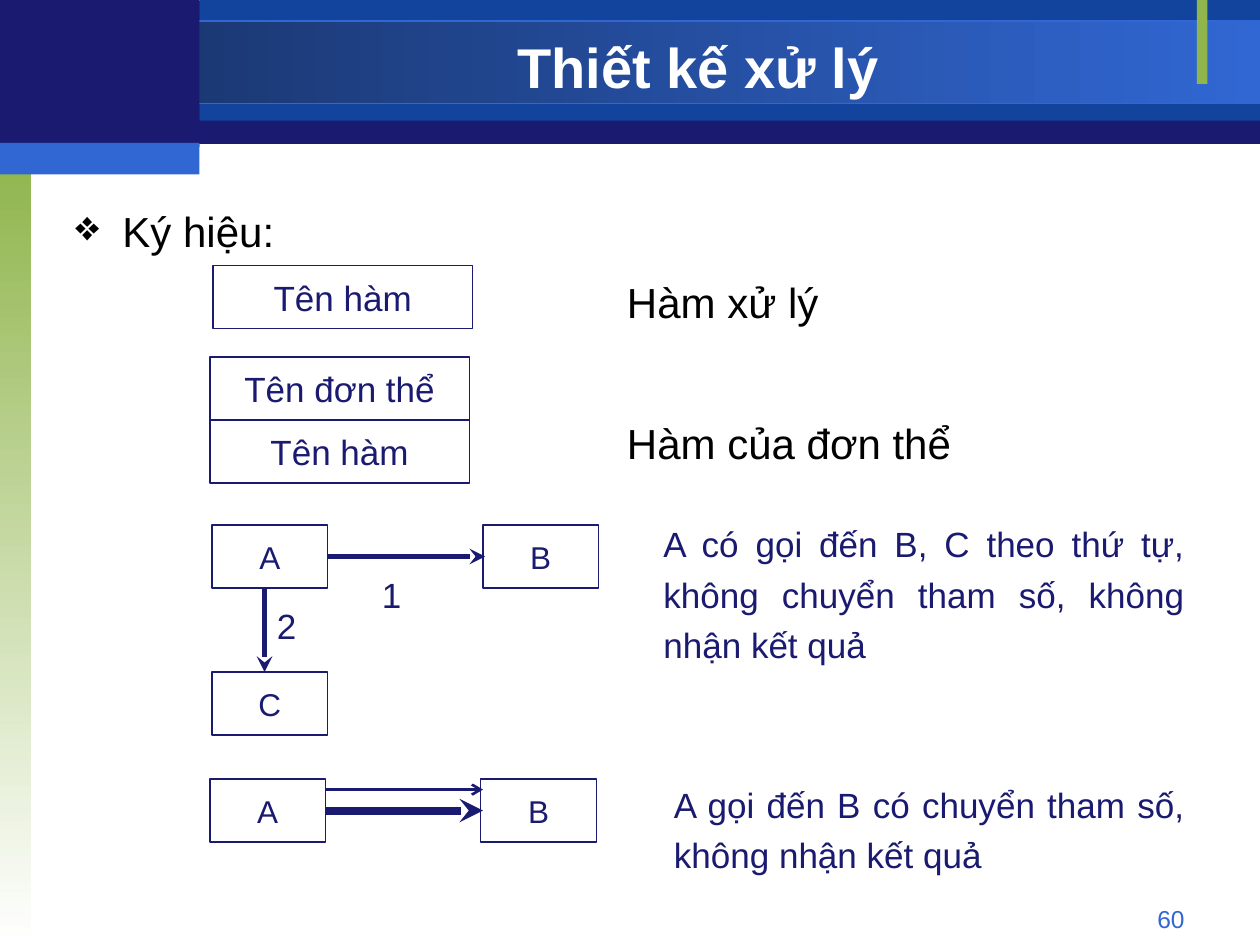
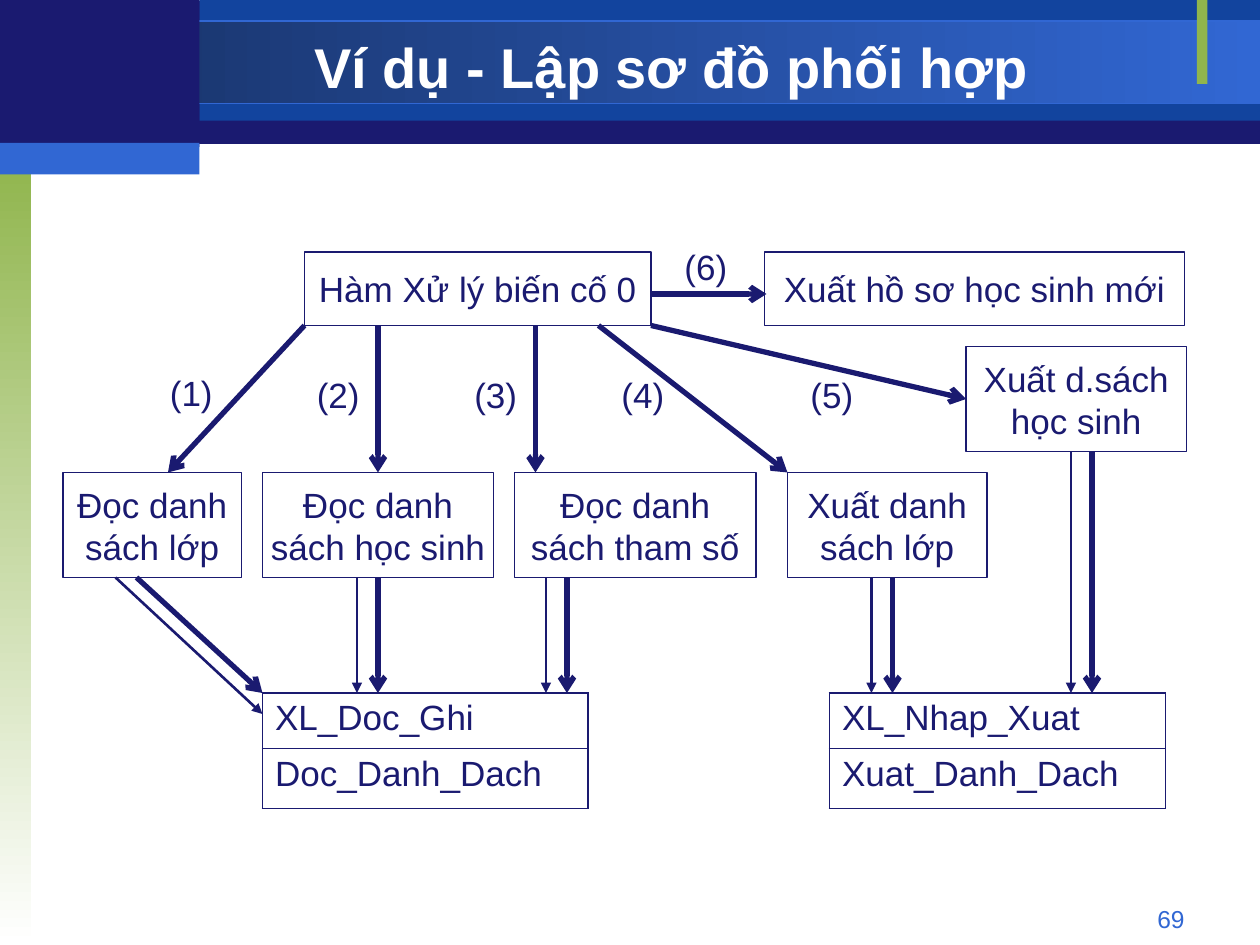
from lxml import etree
from pptx import Presentation
from pptx.dml.color import RGBColor
from pptx.enum.shapes import MSO_CONNECTOR as Connector, MSO_SHAPE as Shape
from pptx.enum.text import MSO_ANCHOR as Anchor, PP_ALIGN as Align
from pptx.oxml.ns import qn
from pptx.util import Cm, Pt

NAVY = RGBColor(0x1A, 0x1A, 0x70)
ROYAL = RGBColor(0x12, 0x44, 0x9E)
DEEP = RGBColor(0x17, 0x30, 0x62)
BLUE = RGBColor(0x31, 0x67, 0xD3)
GREEN = RGBColor(0x90, 0xB5, 0x4D)
WHITE = RGBColor(0xFF, 0xFF, 0xFF)
BLACK = RGBColor(0, 0, 0)
FONT = "Arial"

# All places are (left, top, width, height) or (x, y) in grid units;
# the page is 120 units wide and 90 high.
UNIT_CM = 25.4 / 120

# place, fill or (from, to) gradient, gradient angle, outline
BANDS = [
    ((0, 0.1, 120, 13.6), NAVY, None, None),
    ((19, 0, 101, 11.5), ROYAL, None, None),
    ((0, 2, 120, 7.9), (DEEP, BLUE), 0, BLUE),
    ((0, 15, 3, 75), (GREEN, WHITE), 270, None),
    ((114, 0, 1, 8), GREEN, None, None),
    ((0, 0, 19, 14), NAVY, None, None),
    ((0, 13.6, 19, 3), BLUE, None, None),
]

# Slide 1: text, left indent (cm), hanging indent (cm), space before (pt)
LEGEND = [
    ("Ký hiệu:", 0.95, -0.95, 6),
    ("Hàm xử lý", 11.12, 0, 6),
    ("Hàm của đơn thể", 11.12, 0, 46.3),
]
NAME_SIZE = (24.7, 6)
NAME_BOXES = [
    ("Tên hàm", 20.3, 25.3),
    ("Tên đơn thể", 20, 34),
    ("Tên hàm", 20, 40),
]
NODE_SIZE = (11, 6)
NODES = [("A", 20.2, 50), ("B", 46, 50), ("C", 20.2, 64),
         ("A", 20, 74.2), ("B", 45.8, 74.2)]
NODE_ARROWS = [
    ((31.2, 53), (46.2, 53), 3, "stealth"),
    ((25.2, 56), (25.2, 64), 3, "stealth"),
    ((31, 77.2), (46, 77.2), 4.5, "stealth"),
    ((31, 75.2), (46, 75.2), 1.5, "arrow"),
]
NODE_LABELS = [("1", 35.2, 54), ("2", 25.2, 57)]
NOTES = [
    ("A có gọi đến B, C theo thứ tự, không chuyển tham số, không nhận kết quả",
     (62, 48.4, 52, 15.6)),
    ("A gọi đến B có chuyển tham số, không nhận kết quả",
     (63, 73.2, 51, 10.8)),
]

# Slide 2
FUNCTIONS = [
    ("Hàm Xử lý biến cố 0", (29, 24, 33, 7)),
    ("Xuất hồ sơ học sinh mới", (72.8, 24, 40, 7)),
    ("Xuất d.sách\nhọc sinh", (92, 33, 21, 10)),
    ("Đọc danh\nsách lớp", (6, 45, 17, 10)),
    ("Đọc danh\nsách học sinh", (25, 45, 22, 10)),
    ("Đọc danh\nsách tham số", (49, 45, 23, 10)),
    ("Xuất danh\nsách lớp", (75, 45, 19, 10)),
]
# from, to, place of the number; in calling order
CALLS = [
    ((29, 31), (16, 45), (15, 34.8)),
    ((36, 31), (36, 45), (29, 35)),
    ((51, 31), (51, 45), (44, 35)),
    ((57, 31), (75, 45), (58, 35)),
    ((62, 31), (92, 38), (76, 35)),
    ((62, 28), (73, 28), (64, 22.8)),
]
MODULE_TOP = 66
MODULE_ROWS = (5.3, 5.7)
MODULES = [
    (25, 31, ("XL_Doc_Ghi", "Doc_Danh_Dach")),
    (79, 32, ("XL_Nhap_Xuat", "Xuat_Danh_Dach")),
]
# x and top of each vertical thick arrow; a thin one runs to its left
MODULE_CALLS = [(36, 55), (54, 55), (85, 55), (104, 43)]
PAIR_GAP = 2


def grid(*values):
    return [Cm(value * UNIT_CM) for value in values]


def style(para, size, color=NAVY, align=Align.LEFT, bold=False):
    para.alignment = align
    para.font.name = FONT
    para.font.size = Pt(size)
    para.font.bold = bold
    para.font.color.rgb = color


def add_text(page, text, place, size=20, color=NAVY, align=Align.LEFT,
             bold=False, anchor=Anchor.TOP, spacing=None):
    frame = page.shapes.add_textbox(*grid(*place)).text_frame
    frame.word_wrap = True
    frame.vertical_anchor = anchor
    frame.text = text
    for para in frame.paragraphs:
        style(para, size, color, align, bold)
        para.line_spacing = spacing
    return frame


def add_band(page, place, paint, angle, outline):
    band = page.shapes.add_shape(Shape.RECTANGLE, *grid(*place))
    band.shadow.inherit = False
    if angle is None:
        band.fill.solid()
        band.fill.fore_color.rgb = paint
    else:
        band.fill.gradient()
        band.fill.gradient_angle = angle
        for stop, color in zip(band.fill.gradient_stops, paint):
            stop.color.rgb = color
    if outline is None:
        band.line.fill.background()
    else:
        band.line.color.rgb = outline
        band.line.width = Pt(0.75)


def add_box(page, text, place, size=20):
    """Outlined box with centred text."""
    box = page.shapes.add_shape(Shape.RECTANGLE, *grid(*place))
    box.shadow.inherit = False
    box.fill.background()
    box.line.color.rgb = NAVY
    box.line.width = Pt(0.75)
    frame = box.text_frame
    frame.word_wrap = False
    frame.vertical_anchor = Anchor.MIDDLE
    frame.text = text
    for para in frame.paragraphs:
        style(para, size, align=Align.CENTER)


def add_arrow(page, start, end, width=3, head="arrow"):
    arrow = page.shapes.add_connector(Connector.STRAIGHT, *grid(*start, *end))
    arrow.line.color.rgb = NAVY
    arrow.line.width = Pt(width)
    properties = arrow.element.spPr
    etree.SubElement(properties.find(qn("a:ln")), qn("a:tailEnd"), type=head)
    etree.SubElement(properties, qn("a:effectLst"))


def add_label(page, text, x, y):
    add_text(page, text, (x, y, 7, 5.3))


def set_borders(cell, **widths):
    """Border widths in points by side: L, R, T, B."""
    properties = cell._tc.get_or_add_tcPr()
    for index, (side, width) in enumerate(widths.items()):
        border = etree.Element(qn(f"a:ln{side}"), w=str(Pt(width)))
        fill = etree.SubElement(border, qn("a:solidFill"))
        etree.SubElement(fill, qn("a:srgbClr"), val=str(NAVY))
        properties.insert(index, border)


def add_module(page, left, width, names):
    place = grid(left, MODULE_TOP, width, sum(MODULE_ROWS))
    table = page.shapes.add_table(len(names), 1, *place).table
    table.first_row = table.horz_banding = False
    for index, (name, height) in enumerate(zip(names, grid(*MODULE_ROWS))):
        table.rows[index].height = height
        cell = table.cell(index, 0)
        cell.text = name
        style(cell.text_frame.paragraphs[0], 20)
        cell.fill.background()
        first, last = index == 0, index == len(names) - 1
        set_borders(cell, L=1.08, R=1.08, T=1.08 if first else 0.45,
                    B=1.08 if last else 0.45)


def add_page(deck, title, title_width, number):
    page = deck.slides.add_slide(deck.slide_layouts[6])
    for band in BANDS:
        add_band(page, *band)
    add_text(page, number, (86, 85.5, 28, 3.3), 14, BLUE, Align.RIGHT)
    add_text(page, title, (19, 2.8, title_width, 7), 32, WHITE, Align.CENTER,
             bold=True, anchor=Anchor.MIDDLE)
    return page


def add_legend(page):
    text = "\n".join(entry[0] for entry in LEGEND)
    frame = add_text(page, text, (6, 18, 108, 66), 24, BLACK, spacing=1.2)
    for para, (_, left, hanging, before) in zip(frame.paragraphs, LEGEND):
        para.space_before = Pt(before)
        properties = para._p.get_or_add_pPr()
        properties.set("marL", str(Cm(left)))
        properties.set("indent", str(Cm(hanging)))
        if hanging:
            bullet = etree.Element(qn("a:buChar"), char="❖")
            properties.find(qn("a:spcBef")).addnext(bullet)


def build_symbols(deck):
    page = add_page(deck, "Thiết kế xử lý", 95, "60")
    add_legend(page)
    for text, x, y in NAME_BOXES:
        add_box(page, text, (x, y, *NAME_SIZE))
    for text, x, y in NODES:
        add_box(page, text, (x, y, *NODE_SIZE), 18)
    for arrow in NODE_ARROWS:
        add_arrow(page, *arrow)
    for label in NODE_LABELS:
        add_label(page, *label)
    for text, place in NOTES:
        add_text(page, text, place, align=Align.JUSTIFY, spacing=1.2)


def build_example(deck):
    page = add_page(deck, "Ví dụ - Lập sơ đồ phối hợp", 90, "69")
    for text, place in FUNCTIONS:
        add_box(page, text, place)
    for number, (start, end, label) in enumerate(CALLS, 1):
        add_arrow(page, start, end)
        add_label(page, f"({number})", *label)
    for module in MODULES:
        add_module(page, *module)
    add_arrow(page, (13, 55), (25, MODULE_TOP))
    add_arrow(page, (11, 55), (25, MODULE_TOP + PAIR_GAP), 1.5, "triangle")
    for x, top in MODULE_CALLS:
        add_arrow(page, (x, top), (x, MODULE_TOP))
        thin = x - PAIR_GAP
        add_arrow(page, (thin, top), (thin, MODULE_TOP), 1.5, "triangle")


def main():
    deck = Presentation()
    deck.slide_width, deck.slide_height = grid(120, 90)
    build_symbols(deck)
    build_example(deck)
    deck.save("out.pptx")


if __name__ == "__main__":
    main()
